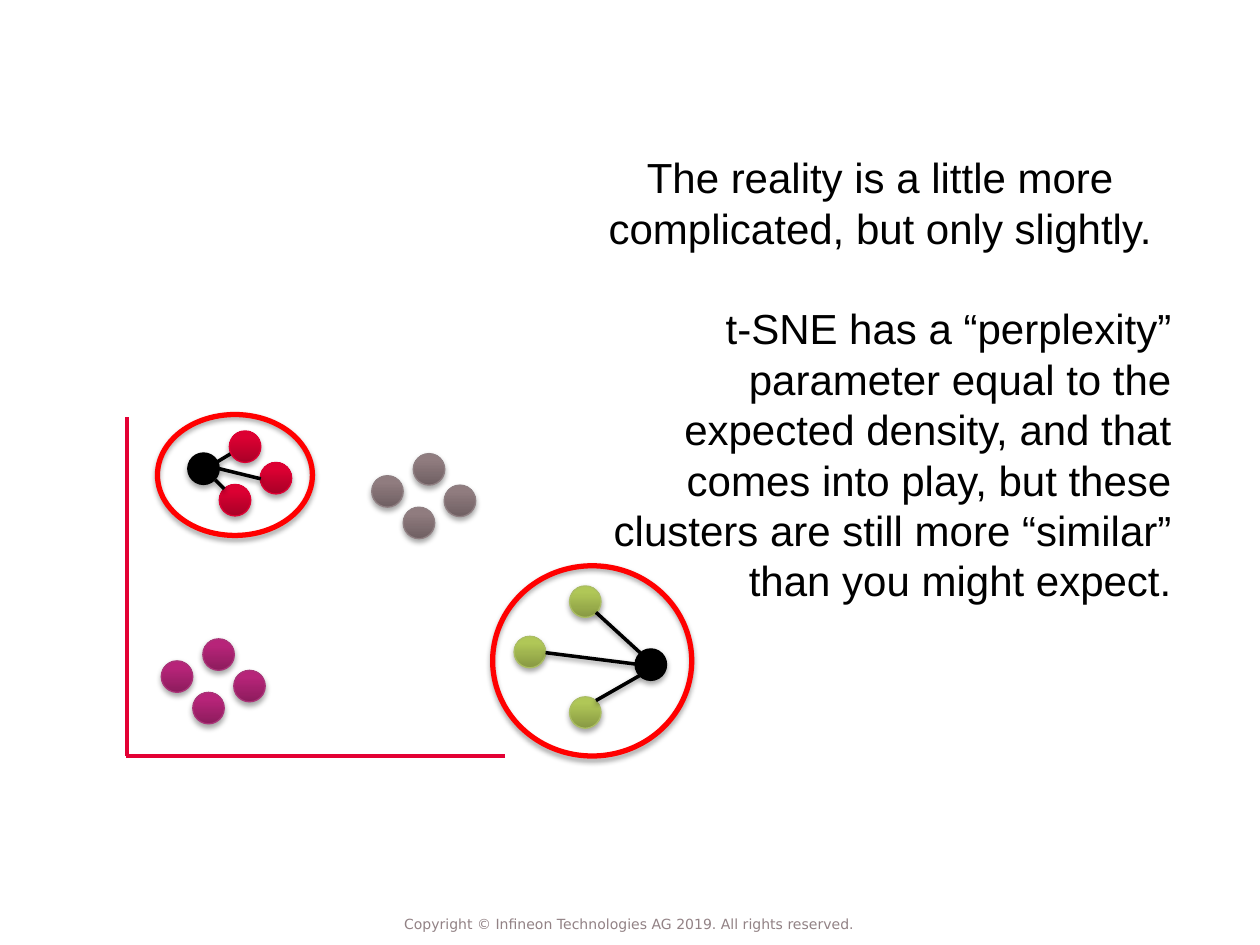
"""Build a slide on t-SNE perplexity with a scatter of linked clusters."""
import pptx
import pptx.util
import pptx.dml.color
import pptx.enum.shapes
import pptx.enum.text
import pptx.oxml.ns
from lxml import etree

COLORS = {
    "black": "000000", "axis": "E30034", "ring": "FF0000", "footer": "928285",
    "red": ("A90027", "DC0032", "DE0033"),
    "purple": ("8D1C5D", "B72479", "AA3378"),
    "grey": ("6F5F62", "907C7F", "8F7F82"),
    "green": ("889943", "B0C757", "ABBE63"),
}
COLUMNS, ROWS = 100, 75
DOT = 2.5
CLUSTER = [(0, 1.75), (3.3, 0), (2.5, 4.25), (5.75, 2.5)]
ALIGN = pptx.enum.text.PP_ALIGN


def rgb(value):
    return pptx.dml.color.RGBColor.from_string(value)


def write(paragraph, text, size=24, font="Arial", color="black",
          align=ALIGN.CENTER, before=0, spacing=None):
    paragraph.alignment = align
    if before:
        paragraph.space_before = pptx.util.Pt(before)
    if spacing:
        paragraph.line_spacing = pptx.util.Pt(spacing)
    run = paragraph.add_run()
    run.text = text
    run.font.size = pptx.util.Pt(size)
    run.font.name = font
    run.font.color.rgb = rgb(COLORS[color])


class Canvas:
    """Hold the presentation, its current slide and the shared style."""

    def __init__(self, width, height):
        self.presentation = pptx.Presentation()
        self.presentation.slide_width = pptx.util.Inches(width)
        self.presentation.slide_height = pptx.util.Inches(height)
        self.slide = self.presentation.slides.add_slide(self.presentation.slide_layouts[6])
        self.shapes = self.slide.shapes

    def place(self, x, y):
        return (round(x / COLUMNS * self.presentation.slide_width),
                round(y / ROWS * self.presentation.slide_height))

    def shade(self, shape, opacity=None, distance=0):
        name = pptx.oxml.ns.qn
        effects = etree.SubElement(shape.element.spPr, name("a:effectLst"))
        if opacity:
            shadow = etree.SubElement(
                effects, name("a:outerShdw"), blurRad=str(pptx.util.Pt(3.1)),
                dist=str(pptx.util.Pt(distance)), dir="5400000", rotWithShape="0")
            color = etree.SubElement(shadow, name("a:srgbClr"), val=COLORS["black"])
            etree.SubElement(color, name("a:alpha"), val=str(opacity * 1000))

    def line(self, start, end, color="black", shadow=True):
        connector = self.shapes.add_connector(
            pptx.enum.shapes.MSO_CONNECTOR.STRAIGHT, *self.place(*start), *self.place(*end))
        connector.line.color.rgb = rgb(COLORS[color])
        connector.line.width = pptx.util.Pt(2)
        self.shade(connector, 38 if shadow else None, 1.6)

    def ellipse(self, x, y, width, height, outline, weight):
        shape = self.shapes.add_shape(
            pptx.enum.shapes.MSO_SHAPE.OVAL, *self.place(x, y), *self.place(width, height))
        shape.fill.background()
        shape.line.color.rgb = rgb(outline)
        shape.line.width = pptx.util.Pt(weight)
        self.shade(shape, 35, 1.8)
        return shape

    def ring(self, x, y, width, height):
        self.ellipse(x, y, width, height, COLORS["ring"], 3)

    def dot(self, x, y, color):
        if color == "black":
            shape = self.ellipse(x, y, DOT, DOT, COLORS[color], 0.75)
            shape.fill.solid()
            shape.fill.fore_color.rgb = rgb(COLORS[color])
            return
        dark, light, outline = COLORS[color]
        fill = self.ellipse(x, y, DOT, DOT, outline, 0.75).fill
        fill.gradient()
        fill.gradient_angle = 90
        for stop, position, value in zip(fill.gradient_stops, (0, 0.8), (dark, light)):
            stop.position = position
            stop.color.rgb = rgb(value)

    def cluster(self, x, y, color, first=None):
        for index, (across, down) in enumerate(CLUSTER):
            self.dot(x + across, y + down, first if first and index == 0 else color)

    def text(self, x, y, width, height):
        frame = self.shapes.add_textbox(*self.place(x, y), *self.place(width, height)).text_frame
        frame.word_wrap = True
        return frame


def main():
    canvas = Canvas(10, 7.5)
    canvas.line((16.5, 37.1), (19, 35.6))
    canvas.line((40.1, 60), (10, 60), "axis", False)
    canvas.line((10.1, 33.1), (10.1, 60), "axis", False)

    canvas.cluster(14.9, 34.2, "red", first="black")
    canvas.cluster(12.8, 50.7, "purple")
    canvas.cluster(29.5, 36, "grey")
    for x, y in [(45.2, 46.5), (40.8, 50.5), (45.2, 55.3)]:
        canvas.dot(x, y, "green")
    canvas.dot(50.4, 51.5, "black")

    canvas.line((17.4, 37.2), (20.7, 38))
    canvas.line((17.1, 38.1), (17.8, 38.8))
    canvas.ring(39.1, 44.9, 15.8, 15.1)
    canvas.ring(12.5, 32.9, 12.3, 9.6)
    for start, end in [((50.8, 51.8), (47.3, 48.6)),
                       ((50.4, 52.7), (43.3, 51.8)),
                       ((50.8, 53.6), (47.3, 55.6))]:
        canvas.line(start, end)

    body = canvas.text(45.75, 11.55, 48.2, 37.8)
    write(body.paragraphs[0], "The reality is a little more complicated, but only slightly.",
          spacing=28.8)
    write(body.add_paragraph(),
          "t-SNE has a “perplexity” parameter equal to the expected density, and that "
          "comes into play, but these clusters are still more “similar” than you might expect.",
          align=ALIGN.RIGHT, before=28.8, spacing=28.8)

    footer = canvas.text(30, 71.7, 39.9, 3.3)
    footer.vertical_anchor = pptx.enum.text.MSO_ANCHOR.MIDDLE
    footer.margin_left = footer.margin_right = footer.margin_top = footer.margin_bottom = 0
    write(footer.paragraphs[0], "Copyright © Infineon Technologies AG 2019. All rights reserved.",
          size=8, font="DejaVu Sans", color="footer")

    canvas.presentation.save("out.pptx")


if __name__ == "__main__":
    main()
